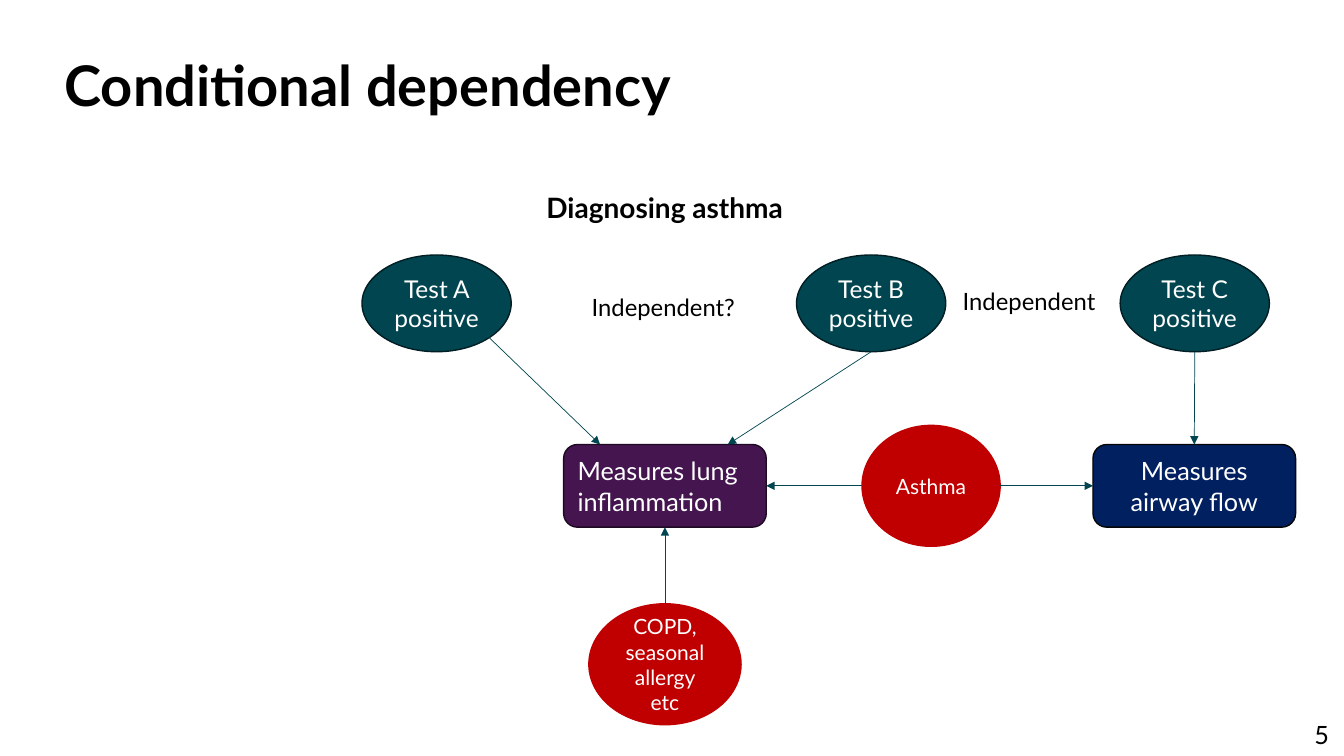
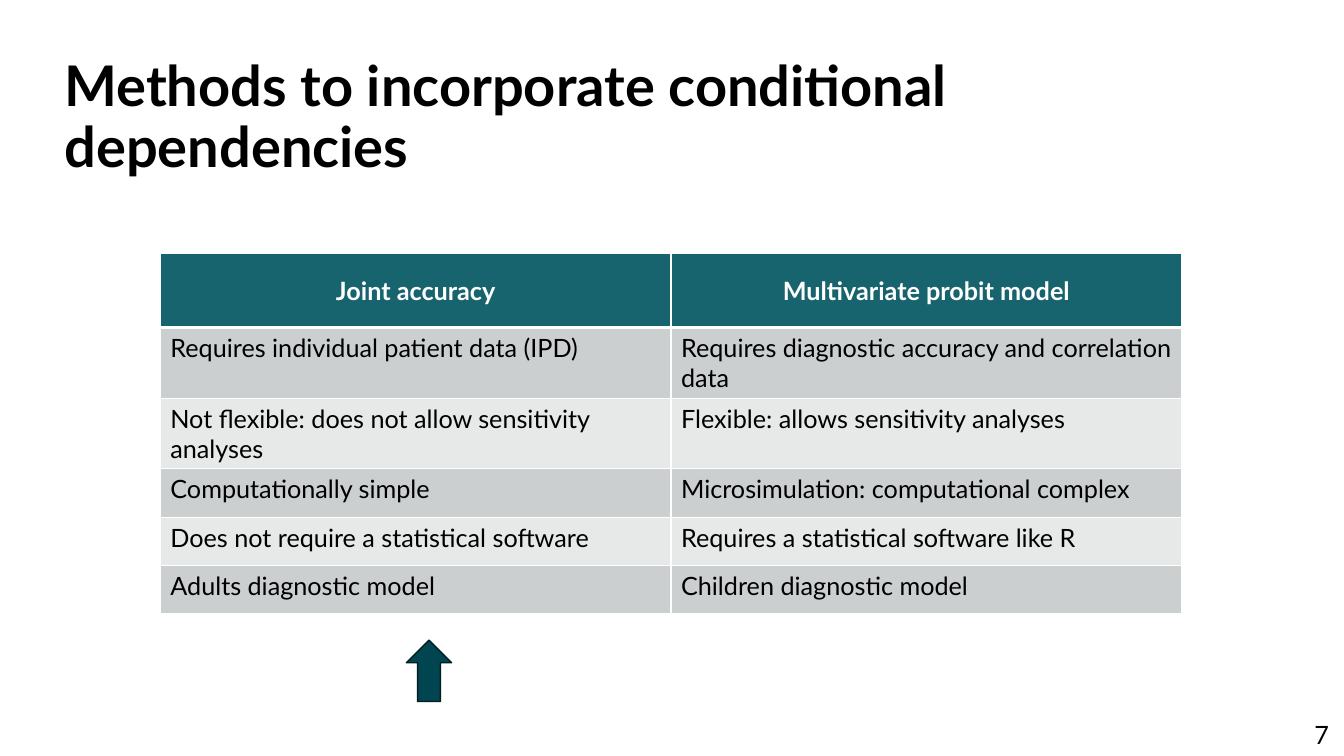
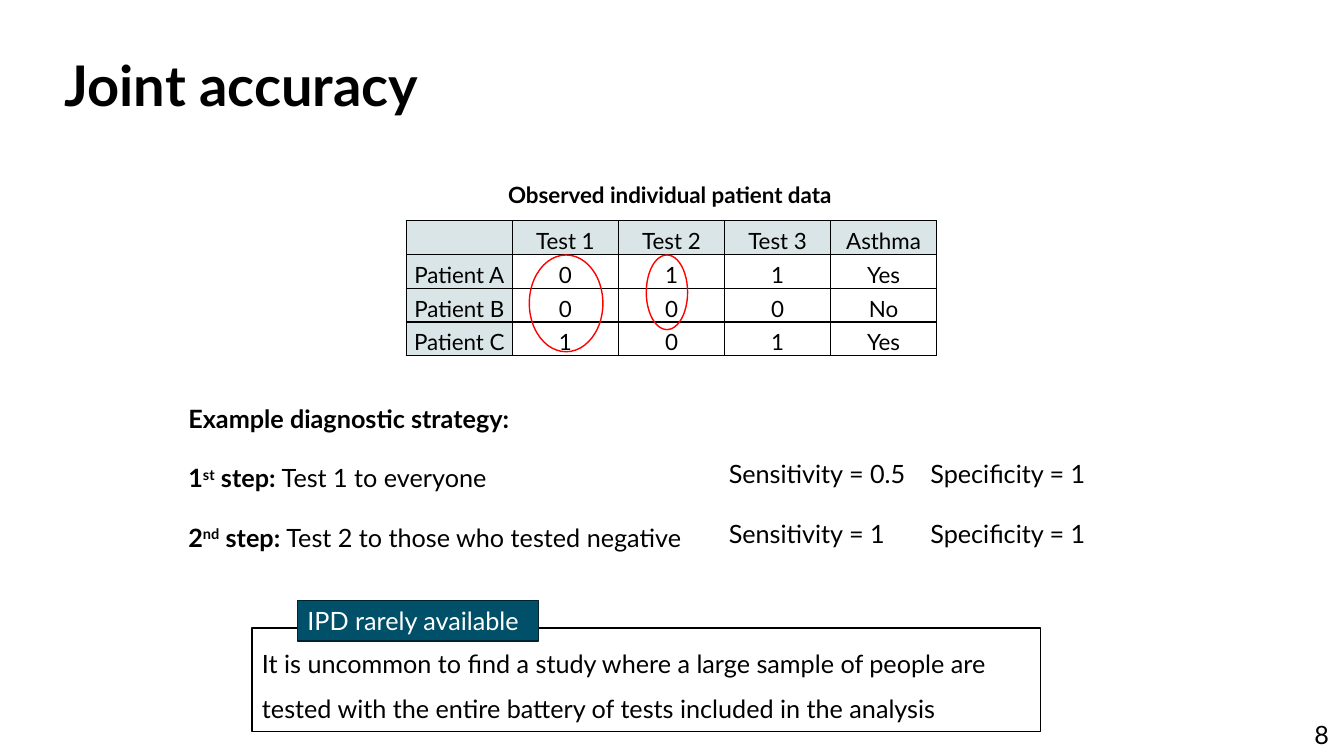
from dataclasses import dataclass

from lxml import etree
from pptx import Presentation
from pptx.dml.color import RGBColor
from pptx.enum.shapes import MSO_CONNECTOR, MSO_SHAPE
from pptx.enum.text import MSO_ANCHOR, MSO_AUTO_SIZE, PP_ALIGN
from pptx.oxml.ns import qn
from pptx.util import Inches, Pt

LEFT, CENTER, RIGHT = PP_ALIGN.LEFT, PP_ALIGN.CENTER, PP_ALIGN.RIGHT
TOP, MIDDLE, BOTTOM = MSO_ANCHOR.TOP, MSO_ANCHOR.MIDDLE, MSO_ANCHOR.BOTTOM
ELLIPSE, RECTANGLE = MSO_SHAPE.OVAL, MSO_SHAPE.RECTANGLE
ROUNDED, UP_ARROW = MSO_SHAPE.ROUNDED_RECTANGLE, MSO_SHAPE.UP_ARROW
STRAIGHT = MSO_CONNECTOR.STRAIGHT
NO_AUTOFIT = MSO_AUTO_SIZE.NONE
TITLE_ONLY_LAYOUT = 5


@dataclass(frozen=True)
class Theme:
    font: str = "Lato"
    black: str = "000000"
    white: str = "FFFFFF"
    teal: str = "004550"
    teal_edge: str = "001E23"
    purple: str = "451550"
    purple_edge: str = "1E0923"
    navy: str = "002060"
    navy_edge: str = "060606"
    cause_red: str = "C00000"
    marker_red: str = "FF0000"
    label_blue: str = "005069"
    label_edge: str = "00232E"
    header_teal: str = "18646E"
    dark_band: str = "CCCFD0"
    light_band: str = "E7E9E9"
    pale_teal: str = "D9E5E6"
    title_size: float = 40
    heading_size: float = 20
    body_size: float = 18
    test_size: float = 17.5
    note_size: float = 17
    table_size: float = 16
    cause_size: float = 15
    loose_spacing: float = 1.5
    paragraph_gap: float = 10


THEME = Theme()


def rgb(value):
    return RGBColor.from_string(value)


def format_text(frame, size=THEME.body_size, color=THEME.black, bold=None,
                align=LEFT, anchor=TOP, spacing=None):
    """Format all runs; bold=None keeps the weight each run already has."""
    frame.word_wrap = True
    frame.vertical_anchor = anchor
    for index, paragraph in enumerate(frame.paragraphs):
        paragraph.alignment = align
        if spacing:
            paragraph.line_spacing = spacing
        if spacing == THEME.loose_spacing and index:
            paragraph.space_before = Pt(THEME.paragraph_gap)
        for run in paragraph.runs:
            run.font.name = THEME.font
            run.font.size = Pt(size)
            run.font.color.rgb = rgb(color)
            if bold is not None:
                run.font.bold = bold


def add_label(slide, area, text, **text_style):
    box = slide.shapes.add_textbox(*map(Inches, area))
    box.text_frame.text = text
    format_text(box.text_frame, **text_style)


def add_box(slide, kind, area, fill=None, line=None, text="", **text_style):
    shape = slide.shapes.add_shape(kind, *map(Inches, area))
    shape.shadow.inherit = False
    if fill:
        shape.fill.solid()
        shape.fill.fore_color.rgb = rgb(fill)
    else:
        shape.fill.background()
    if line:
        shape.line.color.rgb = rgb(line)
        shape.line.width = Pt(1)
    else:
        shape.line.fill.background()
    if text:
        shape.text_frame.text = text
        format_text(shape.text_frame, **text_style)
    return shape


def point_on(shape, across, down):
    """Point at the given fractions of a shape's width and height."""
    return (shape.left + round(shape.width * across),
            shape.top + round(shape.height * down))


def add_arrow(slide, start, end):
    arrow = slide.shapes.add_connector(STRAIGHT, *start, *end)
    arrow.line.color.rgb = rgb(THEME.teal)
    arrow.line.width = Pt(0.5)
    etree.SubElement(arrow.line._get_or_add_ln(), qn("a:tailEnd"), type="triangle")
    etree.SubElement(arrow._element.spPr, qn("a:effectLst"))


def set_borders(cell, color, bottom_width=1):
    """Draw all four cell borders; call before the cell is filled."""
    properties = cell._tc.get_or_add_tcPr()
    for side, width in (("L", 1), ("R", 1), ("T", 1), ("B", bottom_width)):
        line = etree.SubElement(properties, qn(f"a:ln{side}"), w=str(Pt(width)))
        fill = etree.SubElement(line, qn("a:solidFill"))
        etree.SubElement(fill, qn("a:srgbClr"), val=color)


def add_table(slide, area, rows, row_heights, style_cell):
    """Add an evenly divided table; style_cell(cell, row, column) formats each cell."""
    frame = slide.shapes.add_table(len(rows), len(rows[0]), *map(Inches, area))
    table = frame.table
    for row, height in zip(table.rows, row_heights):
        row.height = Inches(height)
    for row_index, texts in enumerate(rows):
        for column_index, text in enumerate(texts):
            cell = table.cell(row_index, column_index)
            cell.text = text
            style_cell(cell, row_index, column_index)


def fill_cell(cell, color):
    cell.fill.solid()
    cell.fill.fore_color.rgb = rgb(color)


def style_method_cell(cell, row, column):
    header = row == 0
    set_borders(cell, THEME.white, bottom_width=3 if header else 1)
    if header:
        fill_cell(cell, THEME.header_teal)
        format_text(cell.text_frame, color=THEME.white, bold=True, align=CENTER)
        cell.vertical_anchor = MIDDLE
    else:
        fill_cell(cell, THEME.dark_band if row % 2 else THEME.light_band)
        format_text(cell.text_frame, bold=False)
        cell.vertical_anchor = TOP


def style_patient_cell(cell, row, column):
    header = row == 0 or column == 0
    set_borders(cell, THEME.black)
    fill_cell(cell, THEME.pale_teal if header else THEME.white)
    cell.margin_left = cell.margin_right = cell.margin_top = Inches(0.01)
    cell.margin_bottom = 0
    format_text(cell.text_frame, size=THEME.table_size, bold=False, align=CENTER)
    cell.vertical_anchor = BOTTOM


def add_slide(presentation, title, number):
    slide = presentation.slides.add_slide(presentation.slide_layouts[TITLE_ONLY_LAYOUT])
    shape = slide.shapes.title
    shape.left, shape.top, shape.width, shape.height = map(Inches, (0.54, 0.53, 12.22, 1.4))
    shape.text_frame.text = title
    shape.text_frame.auto_size = NO_AUTOFIT
    format_text(shape.text_frame, size=THEME.title_size, bold=True, spacing=0.9)
    add_label(slide, (11.44, 7.09, 1.84, 0.4), str(number), align=RIGHT)
    return slide


def add_dependency_slide(presentation):
    slide = add_slide(presentation, "Conditional dependency", 5)
    node_text = dict(color=THEME.white, align=CENTER, anchor=MIDDLE)

    test_a, test_b, test_c = [
        add_box(slide, ELLIPSE, (left, 2.53, 1.48, 0.96), THEME.teal, THEME.teal_edge,
                f"Test {name} positive", size=THEME.test_size, **node_text)
        for name, left in (("A", 3.59), ("B", 7.9), ("C", 11.11))]
    lung = add_box(slide, ROUNDED, (5.59, 4.41, 2.01, 0.82), THEME.purple, THEME.purple_edge,
                   "Measures lung inflammation", color=THEME.white, anchor=MIDDLE)
    airway = add_box(slide, ROUNDED, (10.84, 4.41, 2.01, 0.82), THEME.navy, THEME.navy_edge,
                     "Measures airway flow", **node_text)
    other_causes, asthma = [
        add_box(slide, ELLIPSE, area, THEME.cause_red, THEME.cause_red, text,
                size=THEME.cause_size, **node_text)
        for area, text in (((5.84, 5.99, 1.51, 1.2), "COPD,\nseasonal allergy etc"),
                           ((8.55, 4.22, 1.37, 1.2), "Asthma"))]

    for area, text, size, bold in (
            ((5.32, 1.67, 3.42, 0.63), "Diagnosing asthma", THEME.heading_size, True),
            ((5.77, 2.71, 1.66, 0.73), "Independent?", THEME.note_size, False),
            ((9.45, 2.65, 1.66, 0.73), "Independent", THEME.note_size, False)):
        add_label(slide, area, text, size=size, bold=bold, spacing=THEME.loose_spacing)

    for source, source_point, target, target_point in (
            (test_a, (0.85, 0.85), lung, (0.18, 0)),
            (test_b, (0.5, 1), lung, (0.81, 0)),
            (test_c, (0.5, 1), airway, (0.5, 0)),
            (other_causes, (0.5, 0), lung, (0.5, 1)),
            (asthma, (0, 0.5), lung, (1, 0.5)),
            (asthma, (1, 0.5), airway, (0, 0.5))):
        add_arrow(slide, point_on(source, *source_point), point_on(target, *target_point))


def add_methods_slide(presentation):
    slide = add_slide(presentation, "Methods to incorporate conditional dependencies", 7)
    rows = [
        ("Joint accuracy", "Multivariate probit model"),
        ("Requires individual patient data (IPD)",
         "Requires diagnostic accuracy and correlation data"),
        ("Not flexible: does not allow sensitivity analyses",
         "Flexible: allows sensitivity analyses"),
        ("Computationally simple", "Microsimulation: computational complex"),
        ("Does not require a statistical software", "Requires a statistical software like R"),
        ("Adults diagnostic model", "Children diagnostic model"),
    ]
    add_table(slide, (1.59, 2.51, 10.13, 3.57), rows,
              (0.74, 0.7, 0.7, 0.48, 0.48, 0.48), style_method_cell)
    add_box(slide, UP_ARROW, (4.03, 6.35, 0.45, 0.61), THEME.teal, THEME.teal_edge)


def add_step(paragraph, number, suffix, action):
    for text, bold in ((number, True), (suffix, True), (" step: ", True), (action, False)):
        run = paragraph.add_run()
        run.text = text
        run.font.bold = bold
        if text == suffix:
            run._r.get_or_add_rPr().set("baseline", "30000")


def add_strategy(slide):
    box = add_box(slide, RECTANGLE, (1.77, 3.8, 5.93, 1.88), THEME.white)
    frame = box.text_frame
    frame.text = "Example diagnostic strategy:"
    frame.paragraphs[0].runs[0].font.bold = True
    add_step(frame.add_paragraph(), "1", "st", "Test 1 to everyone")
    add_step(frame.add_paragraph(), "2", "nd", "Test 2 to those who tested negative")
    format_text(frame, spacing=THEME.loose_spacing)


def add_accuracy_results(slide):
    box = add_box(slide, RECTANGLE, (7.13, 4.35, 5.93, 1.34), THEME.white,
                  text="Sensitivity = 0.5\tSpecificity = 1\nSensitivity = 1\tSpecificity = 1",
                  spacing=THEME.loose_spacing)
    for paragraph in box.text_frame.paragraphs:
        tabs = etree.SubElement(paragraph._p.get_or_add_pPr(), qn("a:tabLst"))
        etree.SubElement(tabs, qn("a:tab"), pos=str(Inches(2)), algn="l")


def add_accuracy_slide(presentation):
    slide = add_slide(presentation, "Joint accuracy", 8)
    rows = [
        ("", "Test 1", "Test 2", "Test 3", "Asthma"),
        ("Patient A", "0", "1", "1", "Yes"),
        ("Patient B", "0", "0", "0", "No"),
        ("Patient C", "1", "0", "1", "Yes"),
    ]
    add_label(slide, (4.94, 1.75, 3.45, 0.37), "Observed individual patient data",
              size=THEME.table_size, bold=True)
    add_table(slide, (4.03, 2.19, 5.26, 1.34), rows, [1.34 / len(rows)] * len(rows),
              style_patient_cell)
    for area in ((5.25, 2.53, 0.73, 0.96), (6.41, 2.53, 0.41, 0.74)):
        add_box(slide, ELLIPSE, area, line=THEME.marker_red)

    add_strategy(slide)
    add_accuracy_results(slide)
    add_box(slide, RECTANGLE, (2.5, 6.23, 7.82, 1.03), THEME.white, THEME.black,
            "It is uncommon to find a study where a large sample of people are tested "
            "with the entire battery of tests included in the analysis",
            spacing=THEME.loose_spacing)
    add_box(slide, RECTANGLE, (2.95, 5.96, 2.39, 0.4), THEME.label_blue, THEME.label_edge,
            "IPD rarely available", color=THEME.white)


def main():
    presentation = Presentation()
    presentation.slide_width, presentation.slide_height = Inches(13.33), Inches(7.5)
    add_dependency_slide(presentation)
    add_methods_slide(presentation)
    add_accuracy_slide(presentation)
    presentation.save("out.pptx")


if __name__ == "__main__":
    main()
